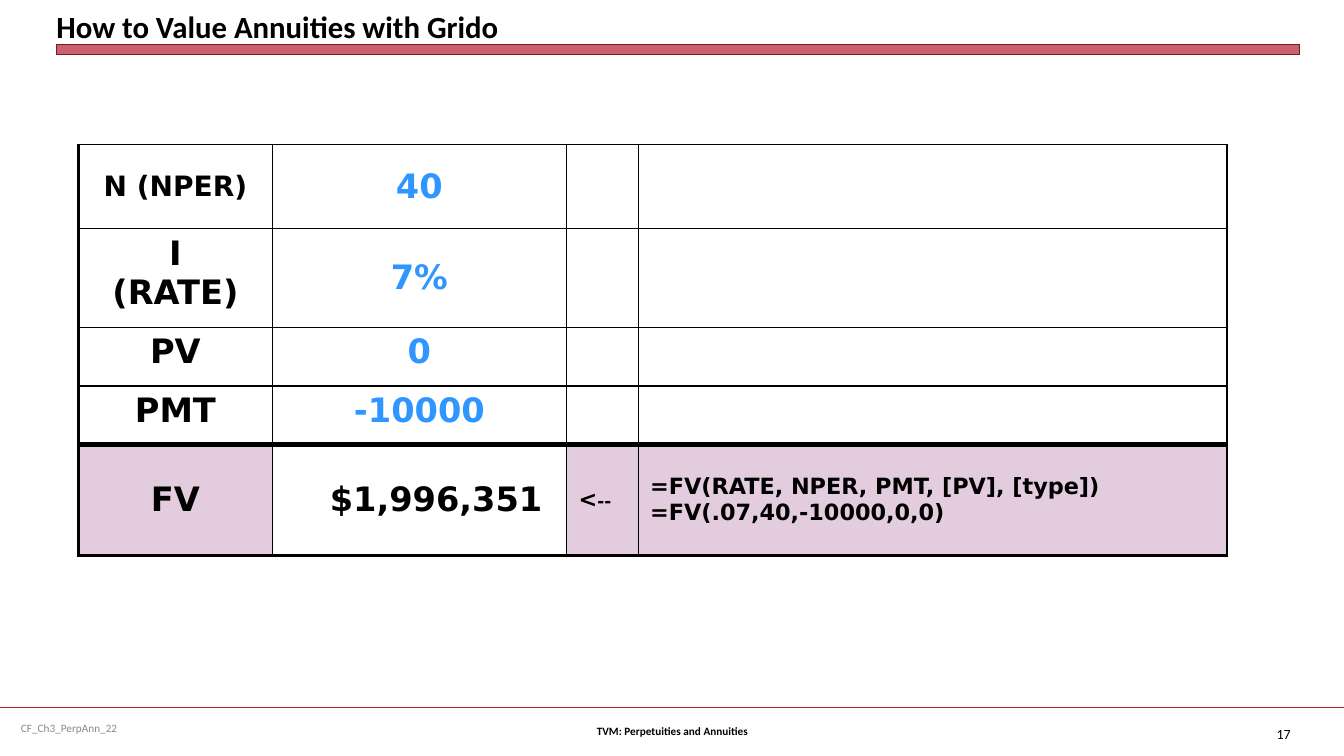
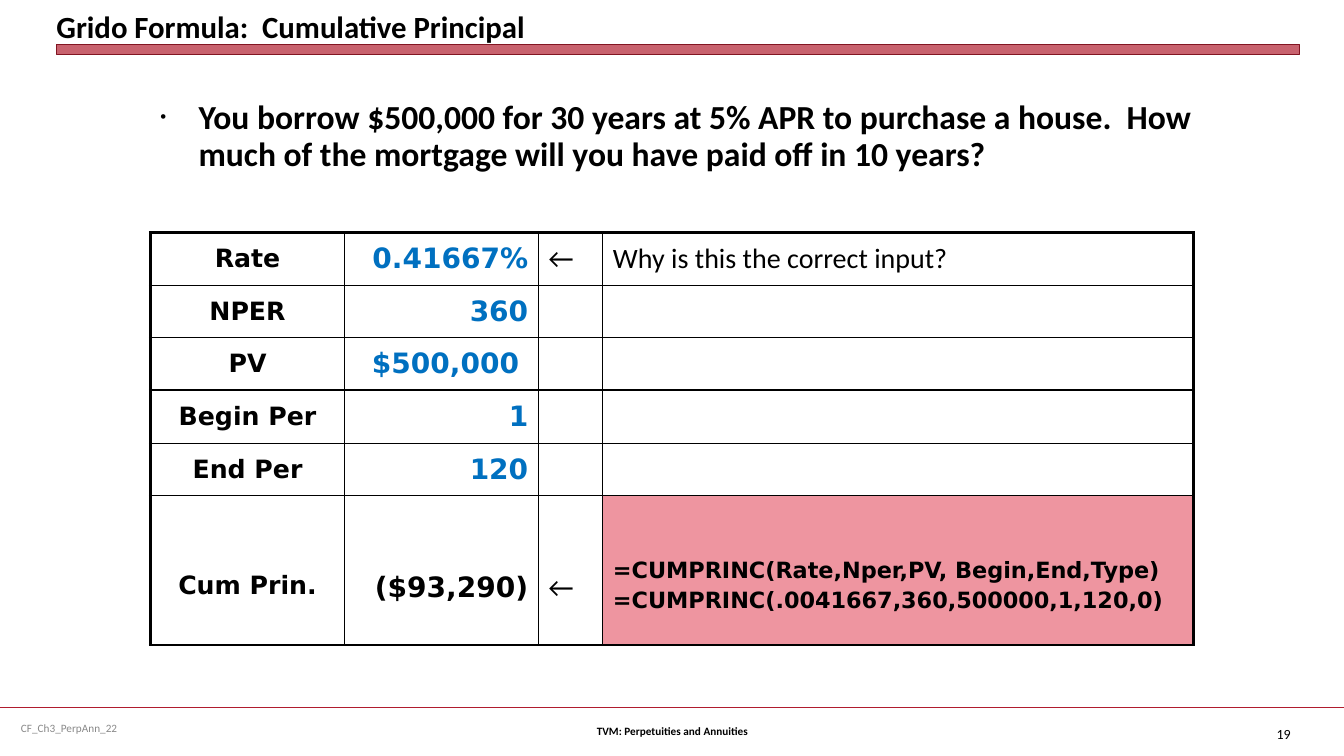
from lxml.etree import SubElement
from pptx import Presentation
from pptx.dml.color import RGBColor
from pptx.enum.shapes import MSO_CONNECTOR, MSO_SHAPE
from pptx.enum.text import MSO_ANCHOR, MSO_AUTO_SIZE, PP_ALIGN
from pptx.oxml.ns import qn
from pptx.util import Emu, Pt

PX = 9144  # 100 px to the inch
SLIDE_W, SLIDE_H = 1333, 750
TITLE_ONLY, TITLE_AND_BODY = 5, 1
COLORS = {
    "black": "000000", "grey": "898989", "red": "B01C2E", "dark red": "821522",
    "bright blue": "3096FF", "blue": "0070C0", "mauve": "E3CCDD", "pink": "EE95A0",
}
BODY_FONT, TABLE_FONT = "Calibri", "DejaVu Sans"
LEFT, CENTER, RIGHT = PP_ALIGN.LEFT, PP_ALIGN.CENTER, PP_ALIGN.RIGHT
TOP, MIDDLE, BOTTOM = MSO_ANCHOR.TOP, MSO_ANCHOR.MIDDLE, MSO_ANCHOR.BOTTOM

FOOTER_LEFT = "CF_Ch3_PerpAnn_22"
FOOTER_CENTER = "TVM: Perpetuities and Annuities"


def cell(*lines, size=24, align=CENTER, **style):
    """Describe a table cell; each line is a text or a list of (text, size) runs."""
    return dict(lines=lines, size=size, align=align, **style)


def annuity_input(value, **style):
    return cell(value, color="bright blue", **style)


def loan_label(name, **style):
    return cell(name, size=18, **style)


def loan_input(value, **style):
    return cell(value, size=20, align=RIGHT, color="blue", **style)


def loan_note(text, **style):
    return cell(text, size=20, align=LEFT, font=BODY_FONT, bold=False, **style)


ANNUITY_TABLE = {
    "at": (78, 143),
    "columns": (192, 292, 71, 584),
    "rows": (84, 98, 58, 58, 110),
    "side_margin": 12,
    "horizontal_rules": (1, 1, 1, 1, 4.5, 2.25),
    "vertical_rules": (2.25, 1, 1, 1, 2.25),
    "thin_right_rows": (2,),
    "cells": [
        [cell("N (NPER)", size=20), annuity_input("40")],
        [cell("I\v(RATE)", anchor=TOP), annuity_input("7%")],
        [cell("PV", anchor=TOP), annuity_input("0", anchor=TOP)],
        [cell("PMT", anchor=TOP), annuity_input("-10000", anchor=TOP)],
        [cell("FV", fill="mauve"),
         cell("$1,996,351", align=RIGHT, right=24),
         cell([("<", 16), ("--", 12)], align=LEFT, fill="mauve"),
         cell("=FV(RATE, NPER, PMT, [PV], [type])\v=FV(.07,40,-10000,0,0)",
              size=16, align=LEFT, fill="mauve")],
    ],
}

LOAN_TABLE = {
    "at": (149, 231),
    "columns": (193, 192, 64, 586),
    "rows": (52, 52, 52, 53, 52, 148),
    "side_margin": 10,
    "horizontal_rules": (2.25, 1, 1, 1, 1, 1, 2.25),
    "vertical_rules": (2.25, 1, 1, 1, 2.25),
    "thin_right_rows": (),
    "cells": [
        [loan_label("Rate"), loan_input("0.41667%"), loan_note("←"),
         loan_note("Why is this the correct input?")],
        [loan_label("NPER"), loan_input("360")],
        [loan_label("PV"), loan_input("$500,000", right=19)],
        [loan_label("Begin Per"), loan_input("1")],
        [loan_label("End Per"), loan_input("120")],
        [loan_label("Cum Prin.", top=36),
         cell("($93,290)", size=20, align=RIGHT, top=40),
         loan_note("←", top=40),
         cell("=CUMPRINC(Rate,Nper,PV, Begin,End,Type)",
              "=CUMPRINC(.0041667,360,500000,1,120,0)",
              size=16, align=LEFT, fill="pink", top=35)],
    ],
}

SLIDES = [
    {"title": "How to Value Annuities with Grido", "number": "17",
     "table": ANNUITY_TABLE},
    {"title": "Grido Formula:  Cumulative Principal", "number": "19",
     "table": LOAN_TABLE,
     "question": "You borrow $500,000 for 30 years at 5% APR to purchase a house.  "
                 "How much of the mortgage will you have paid off in 10 years?"},
]


def px(*lengths):
    return [Emu(length * PX) for length in lengths]


def rgb(name):
    return RGBColor.from_string(COLORS[name])


def add_text(paragraph, text, size, color="black", font=BODY_FONT, bold=False):
    """Add a run; a vertical tab in the text becomes a line break."""
    for index, part in enumerate(text.split("\v")):
        if index:
            paragraph.add_line_break()
        run = paragraph.add_run()
        run.text = part
        run.font.size, run.font.name, run.font.bold = Pt(size), font, bold
        run.font.color.rgb = rgb(color)


def place(shape, left, top, width, height):
    shape.left, shape.top, shape.width, shape.height = px(left, top, width, height)


def add_label(slide, box, text, size, align, color="black", bold=False):
    frame = slide.shapes.add_textbox(*px(*box)).text_frame
    frame.word_wrap = True
    frame.vertical_anchor = MIDDLE
    frame.paragraphs[0].alignment = align
    add_text(frame.paragraphs[0], text, size, color, bold=bold)


def add_frame(slide, title, number):
    """Add the footer, the band and the title that every slide carries."""
    rule = slide.shapes.add_connector(
        MSO_CONNECTOR.STRAIGHT, *px(0, 702, SLIDE_W, 702))
    rule.line.color.rgb = rgb("red")
    rule.line.width = Pt(1.25)
    SubElement(rule._element.spPr, qn("a:effectLst"))
    rule._element.remove(rule._element.find(qn("p:style")))

    band = slide.shapes.add_shape(MSO_SHAPE.RECTANGLE, *px(56, 44, 1233, 10))
    band.shadow.inherit = False
    band.fill.solid()
    band.fill.fore_color.rgb = rgb("red")
    tint = band._element.spPr.find(qn("a:solidFill"))[0]
    SubElement(tint, qn("a:alpha"), val="69000")
    band.line.color.rgb = rgb("dark red")
    band.line.width = Pt(0)

    add_label(slide, (11, 702, 344, 40), FOOTER_LEFT, 8, LEFT, "grey")
    add_label(slide, (456, 705, 422, 40), FOOTER_CENTER, 8, CENTER, bold=True)
    add_label(slide, (1223, 708, 67, 40), number, 10, RIGHT)

    heading = slide.shapes.title
    place(heading, 56, 4, 1233, 40)
    frame = heading.text_frame
    frame.margin_left = frame.margin_top = frame.margin_right = frame.margin_bottom = 0
    frame.auto_size = MSO_AUTO_SIZE.NONE
    frame.vertical_anchor = BOTTOM
    frame.paragraphs[0].alignment = LEFT
    add_text(frame.paragraphs[0], title, 22, bold=True)


def set_borders(table_cell, widths):
    properties = table_cell._tc.get_or_add_tcPr()
    for side, width in zip(("lnL", "lnR", "lnT", "lnB"), widths):
        border = SubElement(properties, qn(f"a:{side}"), w=str(Pt(width)))
        paint = SubElement(border, qn("a:solidFill"))
        SubElement(paint, qn("a:srgbClr"), val=COLORS["black"])


def fill_cell(table_cell, content, side_margin):
    left, right, top = px(side_margin, content.get("right", side_margin),
                          content.get("top", 5))
    table_cell.margin_left, table_cell.margin_right = left, right
    table_cell.margin_top, table_cell.margin_bottom = top, px(5)[0]
    table_cell.vertical_anchor = content.get("anchor", MIDDLE)
    frame = table_cell.text_frame
    for index, line in enumerate(content["lines"]):
        paragraph = frame.add_paragraph() if index else frame.paragraphs[0]
        paragraph.alignment = content["align"]
        if index:
            paragraph.space_before = Pt(content["size"] * 0.2)
        runs = [(line, content["size"])] if isinstance(line, str) else line
        for text, size in runs:
            add_text(paragraph, text, size, content.get("color", "black"),
                     content.get("font", TABLE_FONT), content.get("bold", True))


def add_value_table(slide, data):
    columns, rows = data["columns"], data["rows"]
    across, down = data["vertical_rules"], data["horizontal_rules"]
    table = slide.shapes.add_table(
        len(rows), len(columns),
        *px(*data["at"], sum(columns), sum(rows))).table
    table.first_row = table.horz_banding = False
    for column, width in zip(table.columns, px(*columns)):
        column.width = width
    for row, height in zip(table.rows, px(*rows)):
        row.height = height
    for r, contents in enumerate(data["cells"]):
        for c in range(len(columns)):
            table_cell = table.cell(r, c)
            content = contents[c] if c < len(contents) else {}
            last = c == len(columns) - 1
            right = 1 if last and r in data["thin_right_rows"] else across[c + 1]
            set_borders(table_cell, (across[c], right, down[r], down[r + 1]))
            if "fill" in content:
                table_cell.fill.solid()
                table_cell.fill.fore_color.rgb = rgb(content["fill"])
            else:
                table_cell.fill.background()
            if content:
                fill_cell(table_cell, content, data["side_margin"])


def add_question(slide, text):
    body = slide.placeholders[1]
    place(body, 149, 95, 1078, 113)
    body.text_frame.auto_size = MSO_AUTO_SIZE.NONE
    body.text_frame.vertical_anchor = TOP
    paragraph = body.text_frame.paragraphs[0]
    paragraph.line_spacing = 0.9
    paragraph.space_before = Pt(0)
    properties = paragraph._p.get_or_add_pPr()
    properties.set("marL", str(38 * PX))
    properties.set("indent", str(-38 * PX))
    SubElement(properties, qn("a:buSzPct"), val="50000")
    SubElement(properties, qn("a:buChar"), char="•")
    add_text(paragraph, text, 24, bold=True)


def main():
    deck = Presentation()
    deck.slide_width, deck.slide_height = px(SLIDE_W, SLIDE_H)
    for content in SLIDES:
        layout = TITLE_AND_BODY if "question" in content else TITLE_ONLY
        slide = deck.slides.add_slide(deck.slide_layouts[layout])
        add_frame(slide, content["title"], content["number"])
        add_value_table(slide, content["table"])
        if "question" in content:
            add_question(slide, content["question"])
    deck.save("out.pptx")


if __name__ == "__main__":
    main()
